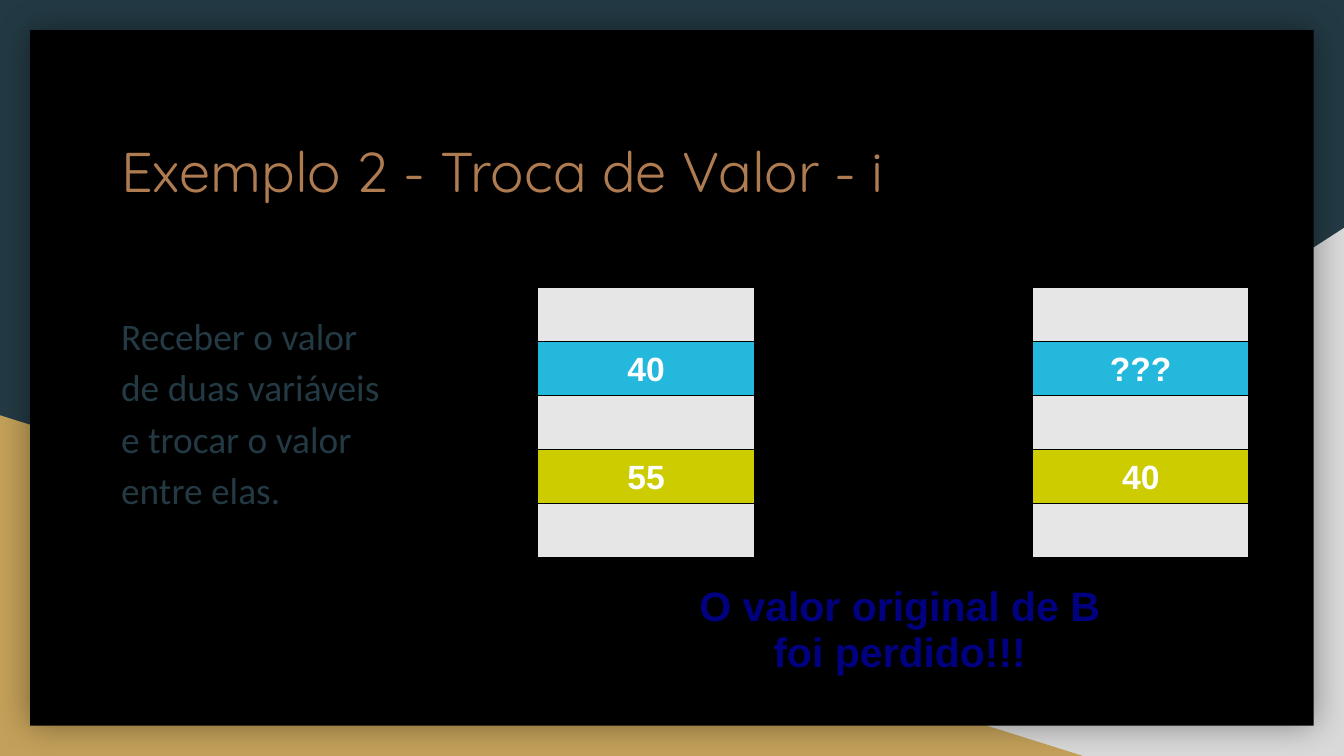
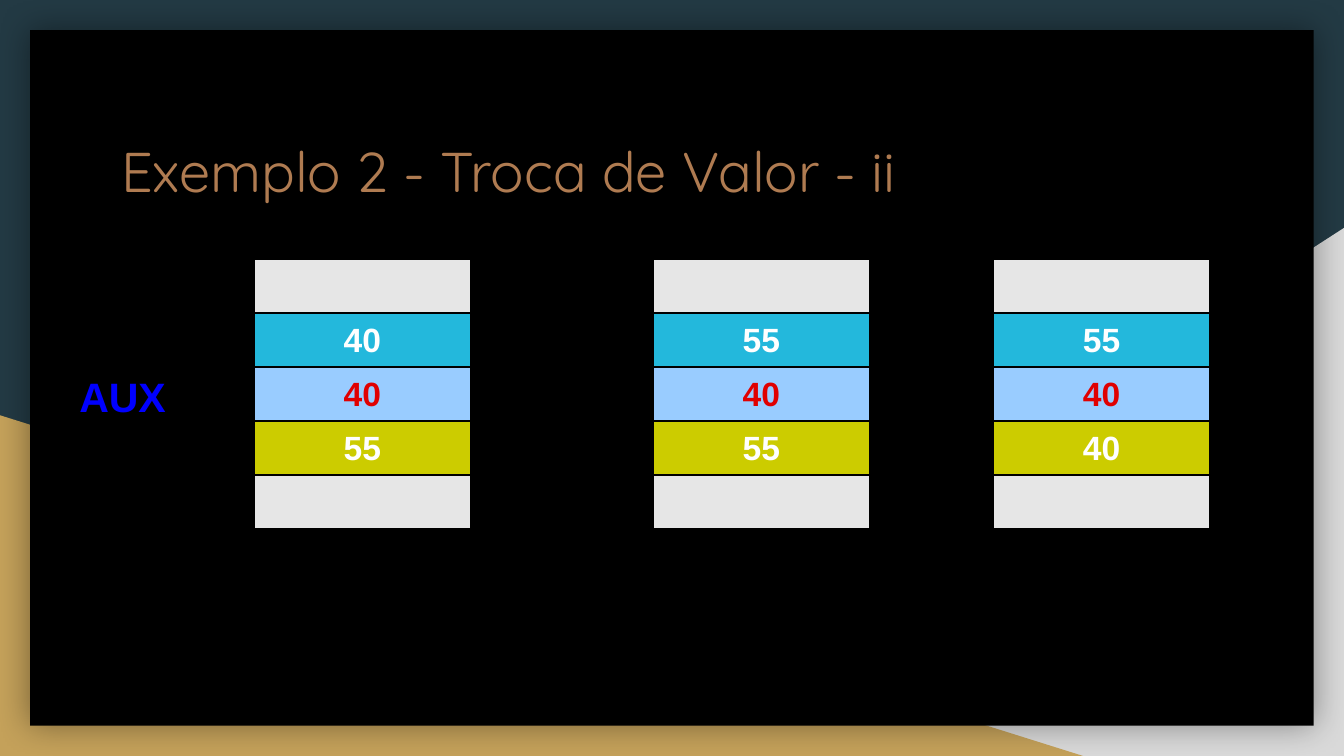
from lxml import etree
from pptx import Presentation
from pptx import util as u
from pptx.dml.color import RGBColor
from pptx.enum import shapes, text
from pptx.oxml.ns import qn

NAVY, GREY, GOLD, BLACK = "233A44", "D9D9D9", "C4A15A", "000000"
COPPER, WHITE, RED = "AF7B51", "FFFFFF", "E00000"
EMPTY, CYAN, SKY, OLIVE = "E6E6E6", "23B8DC", "99CCFF", "CCCC00"

# Lengths in centimetres, boxes as left, top, width, height
WIDTH, HEIGHT, MARGIN = 25.4, 14.29, 0.57
TITLE_BOX = (2.29, 2.34, 20.85, 2.64)
CELL_WIDTH, CELL_HEIGHT, ARROW_LENGTH = 4.1, 1.02, 1.37
PLACEHOLDER_INSETS = (0, 0.25, 0, 0.25)
LABEL_INSETS = (0.2, 0.15, 0.2, 0.1)

LEFT, CENTER = text.PP_ALIGN.LEFT, text.PP_ALIGN.CENTER
BODY_STYLE = dict(font="Calibri", size=20, color=NAVY, spacing=1.15, insets=PLACEHOLDER_INSETS)

# Each memory column holds its left edge and the values of A, AUX and B
SLIDES = [
    {
        "title": "Exemplo 2 - Troca de Valor - i",
        "top": 5.44,
        "columns": [(10.16, ("40", "", "55")), (19.51, ("???", "", "40"))],
        "arrow_rows": (1, 3),
        "labels": [
            ("Receber o valor de duas variáveis e trocar o valor entre elas.",
             (2.29, 5.54, 4.95, 6.81), BODY_STYLE),
            ("O valor original de B foi perdido!!!", (12.93, 10.9, 8.15, 2.72),
             dict(size=22, color="000080", bold=True, align=CENTER)),
        ],
    },
    {
        "title": "Exemplo 2 - Troca de Valor - ii",
        "top": 4.9,
        "columns": [(4.8, ("40", "40", "55")), (12.34, ("55", "40", "55")),
                    (18.77, ("55", "40", "40"))],
        "arrow_rows": (1, 2, 3),
        "labels": [
            ("AUX", (1.3, 6.96, 2.13, 1.04), dict(size=22, color="0000FF", bold=True)),
        ],
    },
]


def rgb(color):
    return RGBColor.from_string(color)


def cm(lengths):
    return [u.Cm(length) for length in lengths]


def write(shape, words, size, color, font="Arial", bold=False, align=LEFT,
          spacing=0.93, insets=LABEL_INSETS, anchor=text.MSO_ANCHOR.TOP):
    frame = shape.text_frame
    frame.word_wrap = True
    frame.auto_size = text.MSO_AUTO_SIZE.NONE
    frame.vertical_anchor = anchor
    frame.margin_left, frame.margin_top, frame.margin_right, frame.margin_bottom = cm(insets)
    paragraph = frame.paragraphs[0]
    paragraph.alignment = align
    paragraph.line_spacing = spacing
    run = paragraph.add_run()
    run.text = words
    run.font.name, run.font.size, run.font.bold = font, u.Pt(size), bold
    run.font.color.rgb = rgb(color)


def add_block(slide, kind, box, fill, line=None):
    shape = slide.shapes.add_shape(kind, *cm(box))
    shape.shadow.inherit = False
    shape.fill.solid()
    shape.fill.fore_color.rgb = rgb(fill)
    if line:
        shape.line.color.rgb = rgb(line)
        shape.line.width = u.Pt(0.75)
    else:
        shape.line.fill.background()
    return shape


def add_panel_shadow(panel):
    effects = panel.element.spPr.find(qn("a:effectLst"))
    shadow = etree.SubElement(effects, qn("a:outerShdw"), blurRad=str(u.Pt(18)), dist="0",
                              algn="ctr", rotWithShape="0")
    color = etree.SubElement(shadow, qn("a:srgbClr"), val=BLACK)
    etree.SubElement(color, qn("a:alpha"), val="40000")


def decorate_layout(layout, slide):
    """Draw the backdrop on a slide, then move it to the layout that all slides share."""
    layout.background.fill.solid()
    layout.background.fill.fore_color.rgb = rgb(NAVY)
    for placeholder in list(layout.placeholders):
        if placeholder.placeholder_format.idx:
            layout.shapes.element.remove(placeholder.element)
    triangle = shapes.MSO_SHAPE.RIGHT_TRIANGLE
    grey_corner = add_block(slide, triangle, (9.96, 4.31, 15.44, 9.98), GREY)
    grey_corner.element.spPr.get_or_add_xfrm().set("flipH", "1")
    gold_corner = add_block(slide, triangle, (0, 7.85, 20.47, 6.44), GOLD)
    panel_box = (MARGIN, MARGIN, WIDTH - 2 * MARGIN, HEIGHT - 2 * MARGIN)
    panel = add_block(slide, shapes.MSO_SHAPE.RECTANGLE, panel_box, BLACK)
    add_panel_shadow(panel)
    for shape in (grey_corner, gold_corner, panel):
        layout.shapes.element.append(shape.element)


def add_column(slide, left, top, values):
    middle = SKY if values[1] else EMPTY
    rows = zip(("", *values, ""), (EMPTY, CYAN, middle, OLIVE, EMPTY))
    for row, (value, fill) in enumerate(rows):
        box = (left, top + row * CELL_HEIGHT, CELL_WIDTH, CELL_HEIGHT)
        cell = add_block(slide, shapes.MSO_SHAPE.RECTANGLE, box, fill, BLACK)
        if value:
            write(cell, value, 18, RED if fill == SKY else WHITE, bold=True,
                  align=CENTER, anchor=text.MSO_ANCHOR.MIDDLE)


def add_arrow(slide, tip, y):
    arrow = slide.shapes.add_connector(
        shapes.MSO_CONNECTOR.STRAIGHT, *cm((tip - ARROW_LENGTH, y, tip, y)))
    arrow.line.color.rgb = rgb(BLACK)
    arrow.line.width = u.Pt(0.75)
    etree.SubElement(arrow.line._get_or_add_ln(), qn("a:tailEnd"), type="triangle")
    etree.SubElement(arrow.element.spPr, qn("a:effectLst"))


def fill_slide(slide, content):
    title = slide.shapes.title
    title.left, title.top, title.width, title.height = cm(TITLE_BOX)
    write(title, content["title"], 30, COPPER, font="Quicksand", spacing=1.0,
          insets=PLACEHOLDER_INSETS)
    top = content["top"]
    for left, values in content["columns"]:
        add_column(slide, left, top, values)
    first_left = content["columns"][0][0]
    for row in content["arrow_rows"]:
        add_arrow(slide, first_left, top + (row + 0.5) * CELL_HEIGHT)
    for words, box, style in content["labels"]:
        write(slide.shapes.add_textbox(*cm(box)), words, **style)


def main():
    presentation = Presentation()
    presentation.slide_width, presentation.slide_height = cm((WIDTH, HEIGHT))
    layout = presentation.slide_layouts[5]
    slides = [presentation.slides.add_slide(layout) for _ in SLIDES]
    decorate_layout(layout, slides[0])
    for slide, content in zip(slides, SLIDES):
        fill_slide(slide, content)
    presentation.save("out.pptx")


if __name__ == "__main__":
    main()
